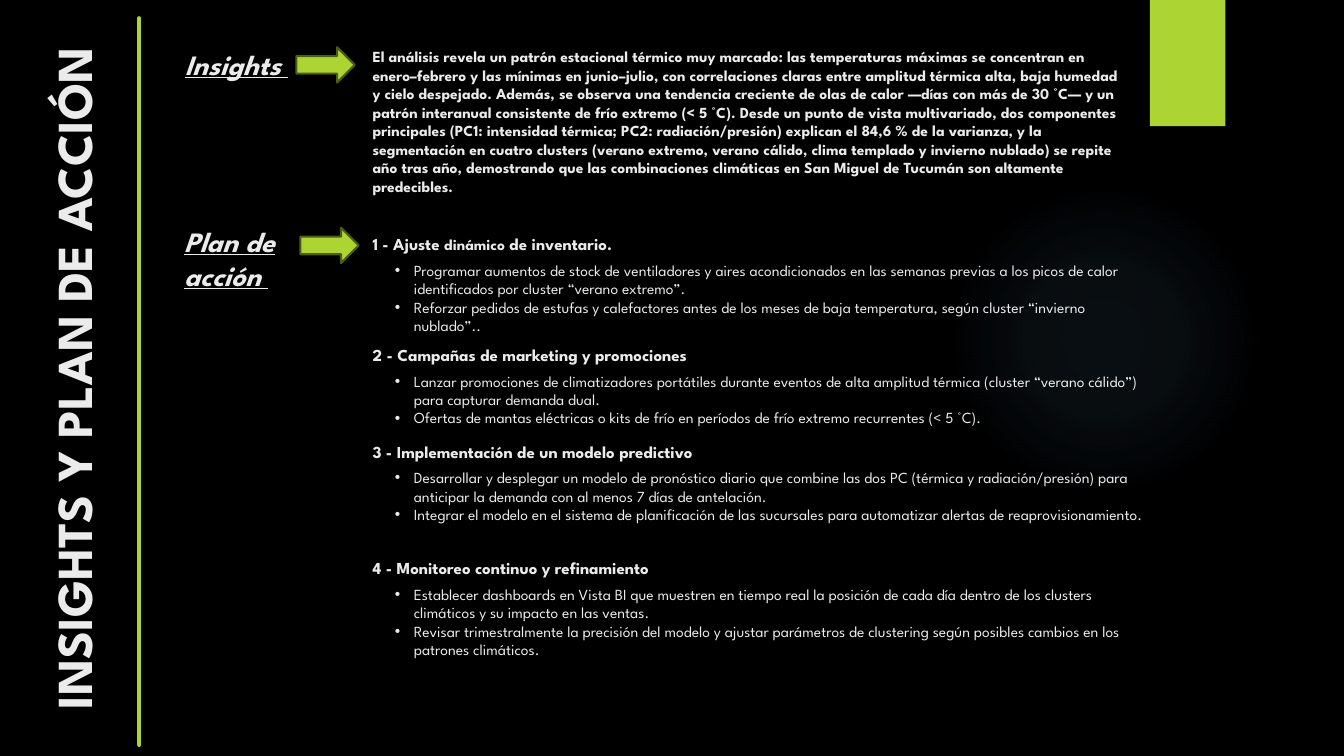
from lxml import etree
from pptx import Presentation
from pptx.dml.color import RGBColor
from pptx.enum.shapes import MSO_CONNECTOR, MSO_SHAPE
from pptx.enum.text import MSO_ANCHOR, MSO_AUTO_SIZE, PP_ALIGN
from pptx.oxml import parse_xml
from pptx.oxml.ns import nsdecls, qn
from pptx.util import Cm, Pt

TITLE = "INSIGHTS Y PLAN DE ACCIÓN"
INSIGHTS = (
    "El análisis revela un patrón estacional térmico muy marcado: las temperaturas máximas "
    "se concentran en enero–febrero y las mínimas en junio–julio, con correlaciones claras "
    "entre amplitud térmica alta, baja humedad y cielo despejado. Además, se observa una "
    "tendencia creciente de olas de calor —días con más de 30 °C— y un patrón interanual "
    "consistente de frío extremo (< 5 °C). Desde un punto de vista multivariado, dos "
    "componentes principales (PC1: intensidad térmica; PC2: radiación/presión) explican el "
    "84,6 % de la varianza, y la segmentación en cuatro clusters (verano extremo, verano "
    "cálido, clima templado y invierno nublado) se repite año tras año, demostrando que las "
    "combinaciones climáticas en San Miguel de Tucumán son altamente predecibles."
)
ACTIONS = [
    (5.77, [("1 - Ajuste ", 12), ("dinámico", 11), (" de inventario.", 12)], [
        "Programar aumentos de stock de ventiladores y aires acondicionados en las semanas "
        "previas a los picos de calor identificados por cluster “verano extremo”.",
        "Reforzar pedidos de estufas y calefactores antes de los meses de baja temperatura, "
        "según cluster “invierno nublado”..",
    ]),
    (8.56, [("2 - Campañas de marketing y promociones", 12)], [
        "Lanzar promociones de climatizadores portátiles durante eventos de alta amplitud "
        "térmica (cluster “verano cálido”) para capturar demanda dual.",
        "Ofertas de mantas eléctricas o kits de frío en períodos de frío extremo "
        "recurrentes (< 5 °C).",
    ]),
    (11, [("3 - Implementación de un modelo predictivo", 12)], [
        "Desarrollar y desplegar un modelo de pronóstico diario que combine las dos PC "
        "(térmica y radiación/presión) para anticipar la demanda con al menos 7 días de "
        "antelación.",
        "Integrar el modelo en el sistema de planificación de las sucursales para "
        "automatizar alertas de reaprovisionamiento.",
    ]),
    (13.93, [("4 - Monitoreo continuo y refinamiento", 12)], [
        "Establecer dashboards en Vista BI que muestren en tiempo real la posición de cada "
        "día dentro de los clusters climáticos y su impacto en las ventas.",
        "Revisar trimestralmente la precisión del modelo y ajustar parámetros de clustering "
        "según posibles cambios en los patrones climáticos.",
    ]),
]
ARROWS = [(7.47, 1.19), (7.57, 5.74)]
GLOW_STOPS = [(0, 7), (36, 6), (69, 0)]

FONT = "League Spartan"
BLACK = RGBColor(0, 0, 0)
LIME = RGBColor(0xAC, 0xD4, 0x33)
OLIVE = RGBColor(0x4B, 0x5D, 0x16)
SKY = RGBColor(0x7A, 0xC4, 0xF0)
LIGHT = RGBColor(0xEB, 0xEB, 0xEB)
BODY_X, BODY_W, BULLET_X = 9.14, 19.43, 9.7
INDENT = Cm(0.48)


def write(shape, paragraphs, size=11, bold=False, italic=False, underline=False,
          align=PP_ALIGN.LEFT, bullet=False):
    tf = shape.text_frame
    tf.word_wrap = True
    tf.auto_size = MSO_AUTO_SIZE.NONE
    tf.vertical_anchor = MSO_ANCHOR.TOP
    for i, runs in enumerate(paragraphs):
        p = tf.paragraphs[0] if i == 0 else tf.add_paragraph()
        p.alignment = align
        if bullet:
            pPr = p._p.get_or_add_pPr()
            pPr.set("marL", str(INDENT))
            pPr.set("indent", str(-INDENT))
            etree.SubElement(pPr, qn("a:buFont")).set("typeface", "Arial")
            etree.SubElement(pPr, qn("a:buChar")).set("char", "•")
        for text, run_size in [(runs, size)] if isinstance(runs, str) else runs:
            r = p.add_run()
            r.text = text
            f = r.font
            f.name, f.size, f.color.rgb = FONT, Pt(run_size), LIGHT
            f.bold, f.italic, f.underline = bold, italic, underline


def box(s, x, y, w, h):
    return s.shapes.add_textbox(Cm(x), Cm(y), Cm(w), Cm(h))


def solid(s, kind, x, y, w, h, line=None):
    sp = s.shapes.add_shape(kind, Cm(x), Cm(y), Cm(w), Cm(h))
    sp.shadow.inherit = False
    sp.fill.solid()
    sp.fill.fore_color.rgb = LIME
    if line is None:
        sp.line.fill.background()
    else:
        sp.line.color.rgb = line
        sp.line.width = Pt(1.5)
    return sp


def add_glow(s):
    sp = solid(s, MSO_SHAPE.OVAL, 23.9, 4.65, 7.82, 7.82)
    stops = "".join(
        f'<a:gs pos="{pos * 1000}"><a:srgbClr val="{SKY}">'
        f'<a:alpha val="{alpha * 1000}"/></a:srgbClr></a:gs>'
        for pos, alpha in GLOW_STOPS
    )
    grad = parse_xml(
        f'<a:gradFill {nsdecls("a")}><a:gsLst>{stops}</a:gsLst><a:path path="circle">'
        '<a:fillToRect l="50000" t="50000" r="50000" b="50000"/></a:path></a:gradFill>'
    )
    spPr = sp._element.spPr
    spPr.replace(spPr.find(qn("a:solidFill")), grad)


def add_divider(s):
    line = s.shapes.add_connector(MSO_CONNECTOR.STRAIGHT, Cm(3.51), Cm(0.46), Cm(3.51), Cm(18.77))
    line.line.color.rgb = LIME
    line.line.width = Pt(3)
    line.line._ln.set("cap", "rnd")
    etree.SubElement(line._element.spPr, qn("a:effectLst"))


def main():
    prs = Presentation()
    prs.slide_width, prs.slide_height = Cm(33.87), Cm(19.05)
    s = prs.slides.add_slide(prs.slide_layouts[5])
    s.background.fill.solid()
    s.background.fill.fore_color.rgb = BLACK

    add_glow(s)
    solid(s, MSO_SHAPE.RECTANGLE, 28.98, 0, 1.9, 3.18)
    add_divider(s)

    title = s.shapes.title
    title.left, title.top, title.width, title.height = Cm(-7.47), Cm(8.41), Cm(19.05), Cm(2.24)
    title.rotation = 270
    write(title, [TITLE], size=36, bold=True, align=PP_ALIGN.CENTER)

    label = dict(size=20, bold=True, italic=True, underline=True)
    write(box(s, 3.99, 1.07, 3.94, 1.19), ["Insights "], align=PP_ALIGN.CENTER, **label)
    write(box(s, 4.39, 5.54, 3.63, 2.26), ["Plan de acción "], **label)
    for x, y in ARROWS:
        solid(s, MSO_SHAPE.RIGHT_ARROW, x, y, 1.47, 0.89, line=OLIVE)

    write(box(s, BODY_X, 1.07, BODY_W, 5.59), [INSIGHTS], bold=True)
    for y, heading, bullets in ACTIONS:
        write(box(s, BODY_X, y, BODY_W, 0.91), [heading], bold=True)
        write(box(s, BULLET_X, y + 0.68, BODY_W, 3), bullets, bullet=True)

    prs.save("out.pptx")


if __name__ == "__main__":
    main()
